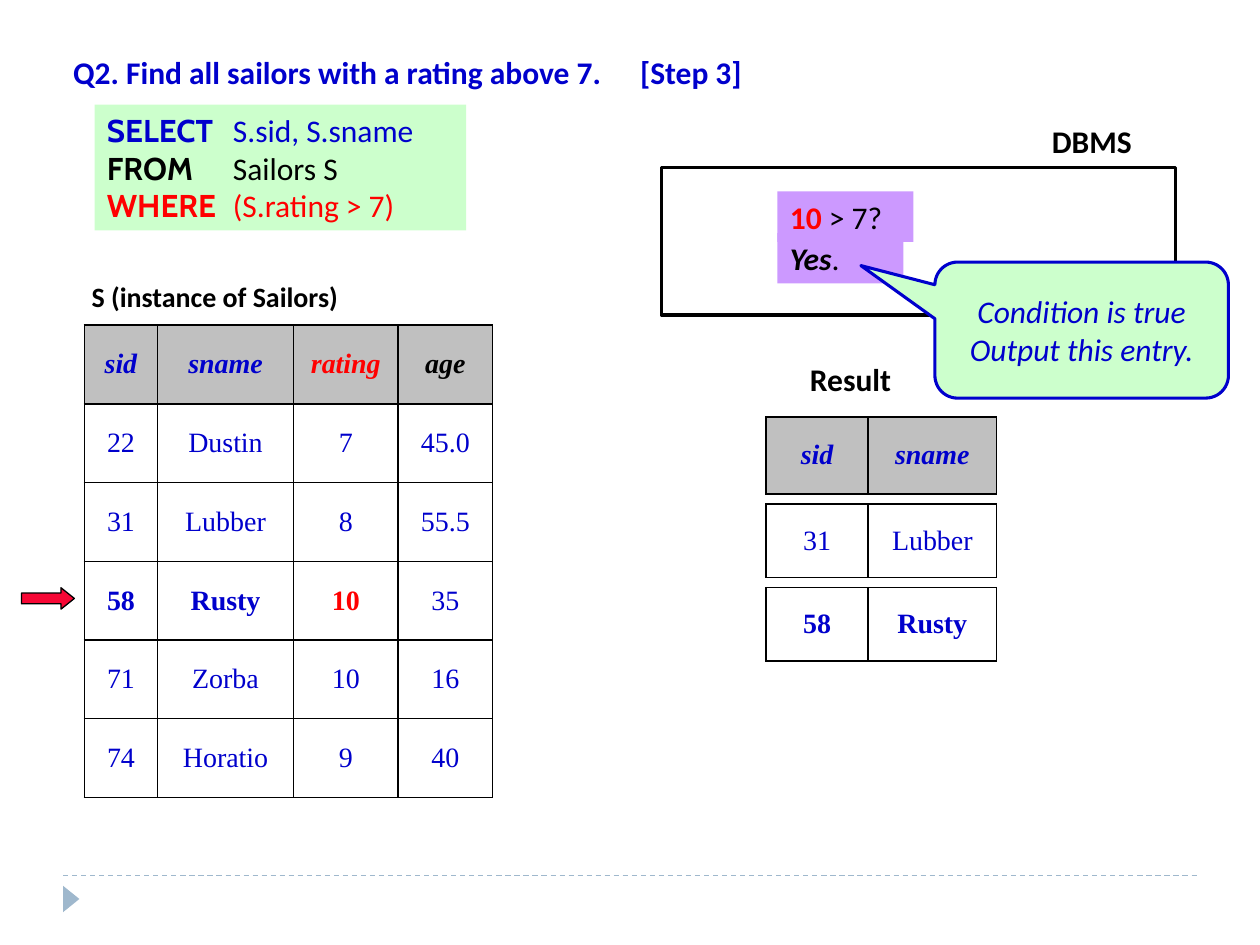
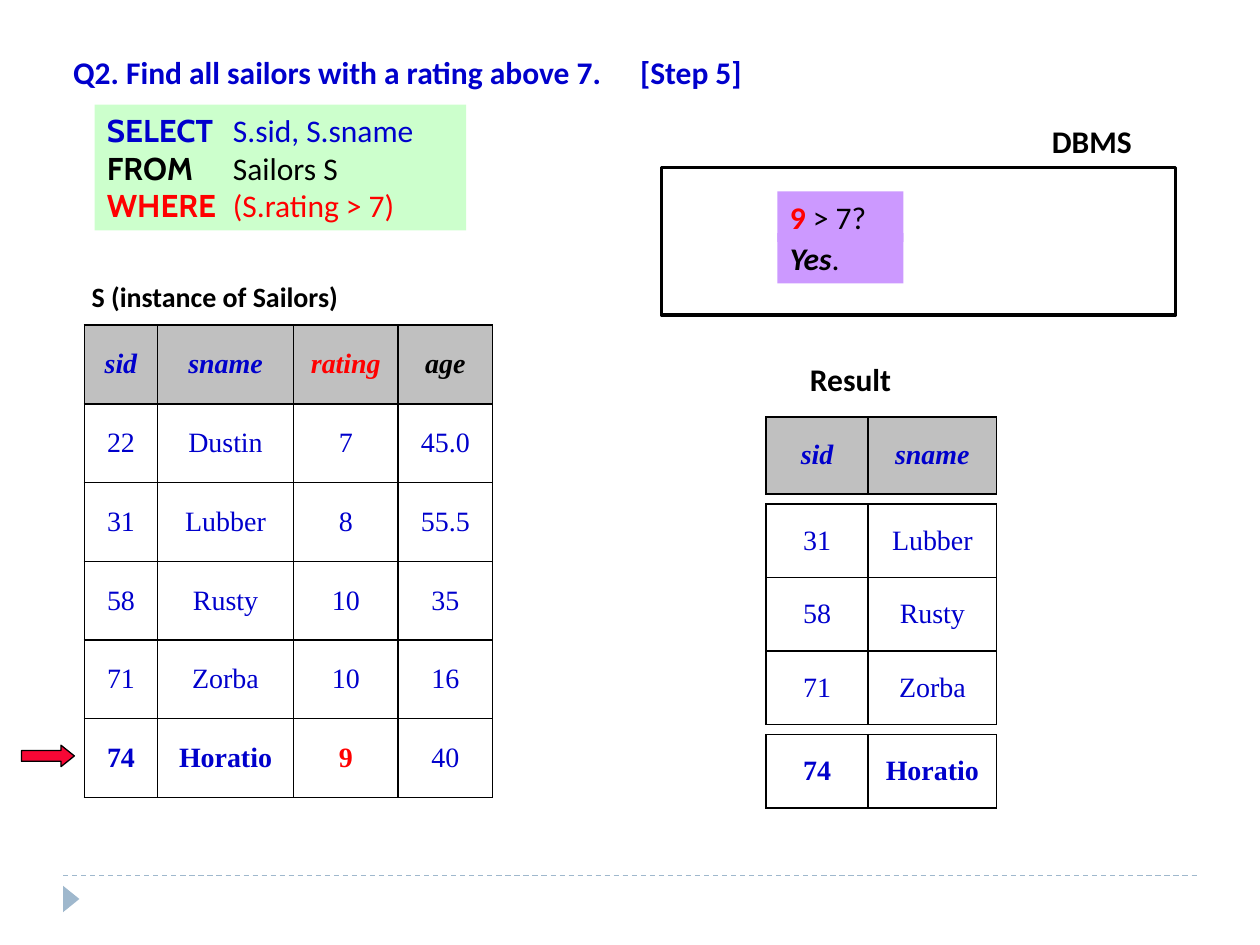
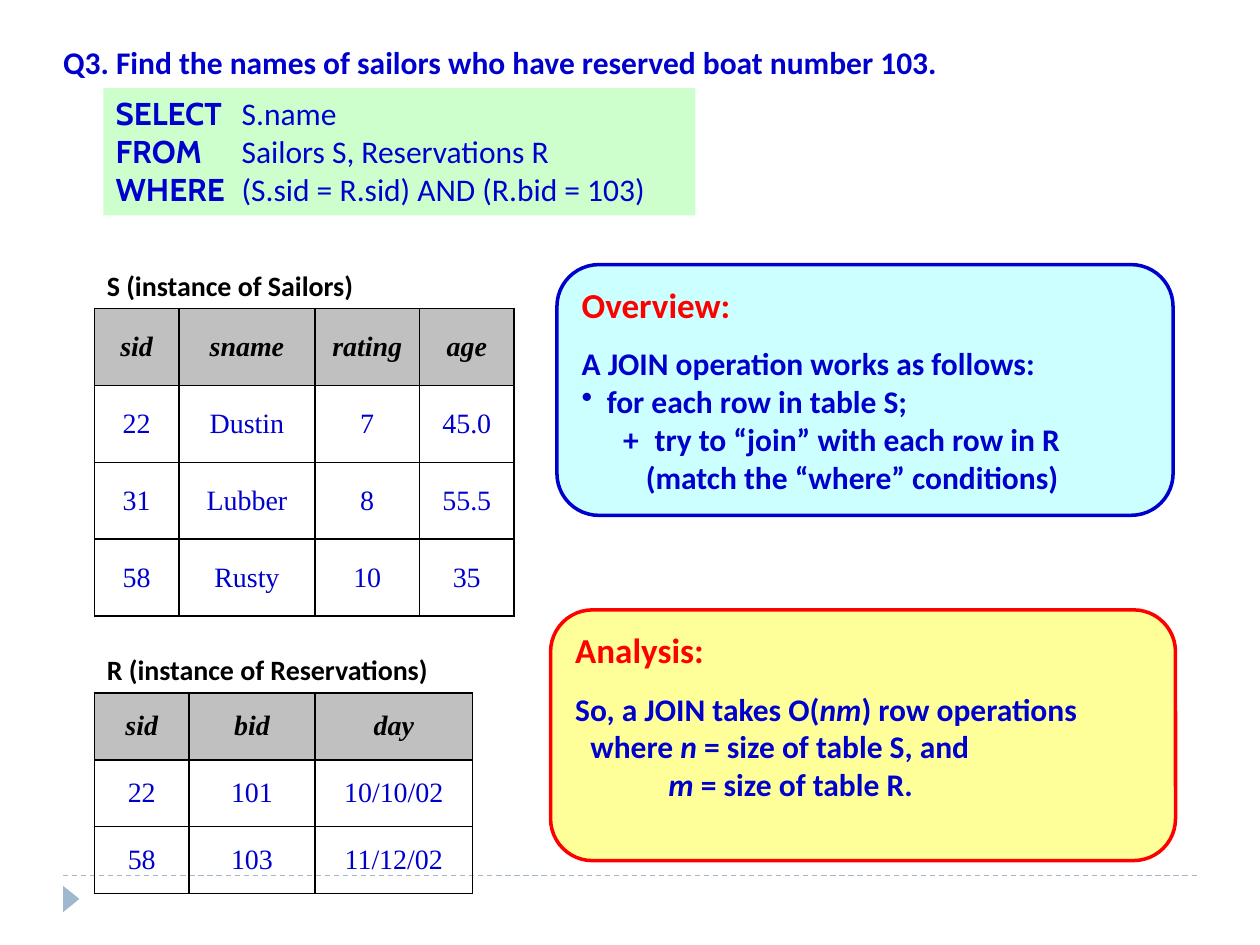
from lxml import etree
from pptx import Presentation
from pptx.dml.color import RGBColor
from pptx.enum.dml import MSO_LINE
from pptx.enum.shapes import MSO_CONNECTOR, MSO_SHAPE
from pptx.enum.text import MSO_ANCHOR, PP_ALIGN
from pptx.oxml.ns import qn
from pptx.util import Inches, Pt

BLUE = RGBColor(0x00, 0x00, 0xCC)
RED = RGBColor(0xFF, 0x00, 0x00)
BLACK = RGBColor(0x00, 0x00, 0x00)
GRAY = RGBColor(0xC0, 0xC0, 0xC0)
STEEL = RGBColor(0x9F, 0xB8, 0xCD)
CRIMSON = RGBColor(0xF7, 0x07, 0x35)
GREEN = RGBColor(0xCC, 0xFF, 0xCC)
PURPLE = RGBColor(0xCC, 0x99, 0xFF)
CYAN = RGBColor(0xCC, 0xFF, 0xFF)
YELLOW = RGBColor(0xFF, 0xFF, 0x99)
SANS, KEYWORD, SERIF = "Calibri", "Cabin", "Times New Roman"
RECT, ROUND = MSO_SHAPE.RECTANGLE, MSO_SHAPE.ROUNDED_RECTANGLE
CALLOUT = MSO_SHAPE.ROUNDED_RECTANGULAR_CALLOUT
ARROW, TRIANGLE = MSO_SHAPE.RIGHT_ARROW, MSO_SHAPE.ISOSCELES_TRIANGLE
STRAIGHT, DASH = MSO_CONNECTOR.STRAIGHT, MSO_LINE.DASH
TOP, MIDDLE = MSO_ANCHOR.TOP, MSO_ANCHOR.MIDDLE
LEFT, CENTER = PP_ALIGN.LEFT, PP_ALIGN.CENTER
TITLE_ONLY = 5

SAILORS = [("22", "Dustin", "7", "45.0"), ("31", "Lubber", "8", "55.5"),
           ("58", "Rusty", "10", "35"), ("71", "Zorba", "10", "16"),
           ("74", "Horatio", "9", "40")]
SAILOR_FIELDS = ("sid", "sname", "rating", "age")
RESERVATIONS = [("22", "101", "10/10/02"), ("58", "103", "11/12/02")]


def add_run(p, text, size=18, font=SANS, color=BLUE, bold=False, italic=False):
    r = p.add_run()
    r.text = text
    f = r.font
    f.size, f.name, f.bold, f.italic = Pt(size), font, bold, italic
    f.color.rgb = color


def format_paragraph(p, align=LEFT, before=0, margin=0, indent=0, bullet=None, tab=None):
    pPr = p._p.get_or_add_pPr()
    pPr.set("marL", str(Inches(margin)))
    pPr.set("indent", str(Inches(indent)))
    if bullet:
        etree.SubElement(pPr, qn("a:buChar"), char=bullet)
    if tab:
        tabs = etree.SubElement(pPr, qn("a:tabLst"))
        etree.SubElement(tabs, qn("a:tab"), pos=str(Inches(tab)), algn="l")
    p.alignment = align
    if before:
        p.space_before = Pt(before)


def fill_text(tf, paragraphs, anchor=TOP, **layout):
    tf.word_wrap = True
    tf.vertical_anchor = anchor
    for i, (runs, extra) in enumerate(paragraphs):
        p = tf.add_paragraph() if i else tf.paragraphs[0]
        format_paragraph(p, **{**layout, **extra})
        for text, fmt in runs:
            add_run(p, text, **fmt)


def line(text, layout=None, **fmt):
    return [(text, fmt)], layout or {}


def add_box(s, box, kind=RECT, fill=None, outline=None, width=1, adj=()):
    sp = s.shapes.add_shape(kind, *map(Inches, box))
    sp.shadow.inherit = False
    for i, value in enumerate(adj):
        sp.adjustments[i] = value
    if fill is None:
        sp.fill.background()
    else:
        sp.fill.solid()
        sp.fill.fore_color.rgb = fill
    if outline is None:
        sp.line.fill.background()
    else:
        sp.line.color.rgb = outline
        sp.line.width = Pt(width)
    return sp


def add_label(s, box, text, size=18):
    tb = s.shapes.add_textbox(*map(Inches, box))
    fill_text(tb.text_frame, [line(text, size=size, color=BLACK, bold=True)])


def add_footer(s):
    rule = s.shapes.add_connector(STRAIGHT, Inches(0.5), Inches(6.95), Inches(9.5), Inches(6.95))
    rule.line.color.rgb = STEEL
    rule.line.width = Pt(0.75)
    rule.line.dash_style = DASH
    etree.SubElement(rule._element.spPr, qn("a:effectLst"))
    add_box(s, (0.46, 7.07, 0.21, 0.13), TRIANGLE, STEEL).rotation = 90


def new_slide(prs, box, *title):
    s = prs.slides.add_slide(prs.slide_layouts[TITLE_ONLY])
    sp = s.shapes.title
    sp.left, sp.top, sp.width, sp.height = map(Inches, box)
    fill_text(sp.text_frame, [line("\t".join(title), bold=True)], tab=4.6)
    add_footer(s)
    return s


def add_borders(cell):
    tcPr = cell._tc.get_or_add_tcPr()
    for i, side in enumerate(("lnL", "lnR", "lnT", "lnB")):
        ln = etree.Element(qn("a:" + side), w=str(Pt(1)))
        solid = etree.SubElement(ln, qn("a:solidFill"))
        etree.SubElement(solid, qn("a:srgbClr"), val=str(BLACK))
        tcPr.insert(i, ln)


def add_grid(s, x, y, widths, row_height, rows):
    frame = s.shapes.add_table(len(rows), len(widths), Inches(x), Inches(y),
                               Inches(sum(widths)), Inches(row_height * len(rows)))
    table = frame.table
    table.first_row = table.horz_banding = False
    for column, width in zip(table.columns, widths):
        column.width = Inches(width)
    for i, row in enumerate(rows):
        table.rows[i].height = Inches(row_height)
        for j, (text, fill, fmt) in enumerate(row):
            cell = table.cell(i, j)
            if fill is None:
                cell.fill.background()
            else:
                cell.fill.solid()
                cell.fill.fore_color.rgb = fill
            add_borders(cell)
            fill_text(cell.text_frame, [line(text, size=16, font=SERIF, **fmt)], align=CENTER)
            cell.vertical_anchor = MIDDLE


def header(names, colors):
    return [(name, GRAY, dict(color=color, bold=True, italic=True))
            for name, color in zip(names, colors)]


def record(values, active=False):
    return [(value, None, dict(bold=active and j < 3,
                               color=RED if active and j == 2 else BLUE))
            for j, value in enumerate(values)]


def add_query(s, box, clauses):
    sp = add_box(s, box, fill=GREEN)
    paragraphs = [([(word + "\t", dict(font=KEYWORD, color=color, bold=True)),
                    (rest, dict(color=color))], {})
                  for word, rest, color in clauses]
    fill_text(sp.text_frame, paragraphs, tab=0.96)


def add_sailors(s, x, y, active):
    height = 3.75 / 6
    add_box(s, (x - 0.5, y + height * (active + 1) + 0.21, 0.42, 0.17), ARROW,
            CRIMSON, BLACK, 0.75, (0.5, 0.625))
    rows = [header(SAILOR_FIELDS, (BLUE, BLUE, RED, BLACK))]
    rows += [record(sailor, i == active) for i, sailor in enumerate(SAILORS)]
    add_grid(s, x, y, (0.58, 1.08, 0.83, 0.75), height, rows)
    add_label(s, (x - 0.04, y - 0.41, 2.54, 0.37), "S (instance of Sailors)", 16)


def add_dbms(s, x, y, rating, test_width):
    test = add_box(s, (x + 0.92, y + 0.19, test_width, 0.4), fill=PURPLE)
    fill_text(test.text_frame, [([(rating, dict(color=RED, bold=True)),
                                  (" > 7?", dict(color=BLACK))], {})])
    answer = add_box(s, (x + 0.92, y + 0.52, 1, 0.4), fill=PURPLE)
    fill_text(answer.text_frame, [([("Yes", dict(color=BLACK, bold=True, italic=True)),
                                    (".", dict(color=BLACK))], {})])
    add_box(s, (x, y, 4.08, 1.17), outline=BLACK, width=2.25)
    add_label(s, (x + 3, y - 0.41, 1.08, 0.4), "DBMS")


def add_result(s, x, y, found, latest):
    widths, height = (0.81, 1.02), 1.75 / 3
    top = y + 0.69
    add_label(s, (x + 0.25, y - 0.5, 1.08, 0.4), "Result")
    add_grid(s, x, y, widths, 0.61, [header(SAILOR_FIELDS[:2], (BLUE, BLUE))])
    add_grid(s, x, top, widths, height, [record(sailor[:2]) for sailor in found])
    add_grid(s, x, top + height * len(found) + 0.08, widths, height,
             [record(latest[:2], True)])


def step_slide(prs, step, active, test_width):
    s = new_slide(prs, (0.48, 0.37, 8.18, 0.4),
                  "Q2. Find all sailors with a rating above 7.", f"[Step {step}]")
    add_sailors(s, 0.67, 2.58, active)
    add_dbms(s, 5.25, 1.33, SAILORS[active][2], test_width)
    add_result(s, 6.08, 3.31, SAILORS[1:active], SAILORS[active])
    add_query(s, (0.75, 0.83, 2.95, 1), [("SELECT", "S.sid, S.sname", BLUE),
                                         ("FROM", "Sailors S", BLACK),
                                         ("WHERE", "(S.rating > 7)", RED)])
    return s


def add_callout(s, box):
    sp = add_box(s, box, CALLOUT, GREEN, BLUE, 1.75, (-0.752, -0.474, 0.167))
    fill_text(sp.text_frame, [line("Condition is true", italic=True),
                              line("Output this entry.", italic=True)], MIDDLE, align=CENTER)


def add_panel(s, box, fill, outline, heading, paragraphs):
    sp = add_box(s, box, ROUND, fill, outline, 2, (0.167,))
    fill_text(sp.text_frame, [line(heading, size=20, color=RED, bold=True)] + paragraphs)


def add_instance(s, x, y, label, widths, height, fields, records):
    add_label(s, (x, y - 0.37, 3.14, 0.37), label, 16)
    rows = [header(fields, [BLACK] * len(fields))] + [record(values) for values in records]
    add_grid(s, x, y, widths, height, rows)


def join_slide(prs):
    s = new_slide(prs, (0.4, 0.29, 8.15, 0.4),
                  "Q3. Find the names of sailors who have reserved boat number 103.")
    add_instance(s, 0.75, 2.45, "S (instance of Sailors)", (0.67, 1.08, 0.83, 0.75),
                 0.61, SAILOR_FIELDS, SAILORS[:3])
    add_instance(s, 0.75, 5.5, "R (instance of Reservations)", (0.75, 1, 1.25),
                 0.53, ("sid", "bid", "day"), RESERVATIONS)
    add_query(s, (0.82, 0.7, 4.7, 1.01), [("SELECT", "S.name", BLUE),
                                          ("FROM", "Sailors S, Reservations R", BLUE),
                                          ("WHERE", "(S.sid = R.sid) AND (R.bid = 103)", BLUE)])
    add_panel(s, (4.42, 2.1, 4.89, 1.99), CYAN, BLUE, "Overview:", [
        line("A JOIN operation works as follows:", dict(before=11), bold=True),
        line("for each row in table S;", dict(margin=0.2, indent=-0.2, bullet="•"), bold=True),
        line("+\ttry to “join” with each row in R",
             dict(margin=0.58, indent=-0.25, tab=0.58), bold=True),
        line("(match the “where” conditions)", dict(margin=0.51), bold=True)])
    strong, variable = dict(bold=True), dict(bold=True, italic=True)
    add_panel(s, (4.37, 4.84, 4.96, 1.99), YELLOW, RED, "Analysis:", [
        ([("So, a JOIN takes O(", strong), ("nm", variable), (") row operations", strong)],
         dict(before=11)),
        ([("where ", strong), ("n", variable), (" = size of table S, and", strong)],
         dict(margin=0.12)),
        ([("m", variable), (" = size of table R.", strong)], dict(margin=0.74))])


def main():
    prs = Presentation()
    prs.slide_width, prs.slide_height = Inches(10), Inches(7.5)
    s = step_slide(prs, 3, 2, 1.08)
    add_callout(s, (7.42, 2.08, 2.33, 1.08))
    step_slide(prs, 5, 4, 1)
    join_slide(prs)
    prs.save("out.pptx")


if __name__ == "__main__":
    main()
